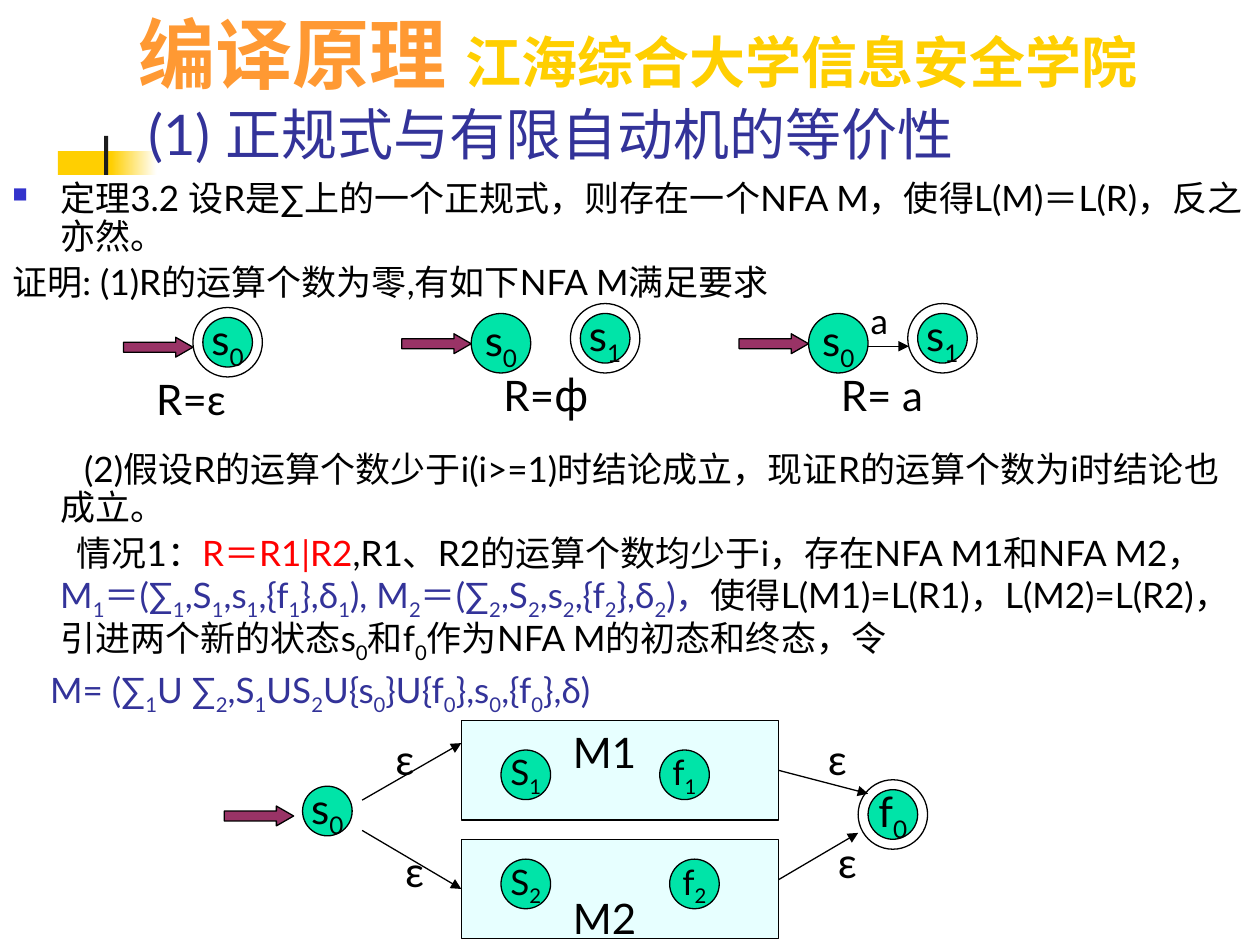
"""Build a slide on the equivalence of regular expressions and finite automata."""
import pptx
import pptx.dml.color
import pptx.enum.shapes
import pptx.enum.text
import pptx.oxml
import pptx.oxml.ns
import pptx.util

RGBColor = pptx.dml.color.RGBColor
BLACK = RGBColor(0x00, 0x00, 0x00)
WHITE = RGBColor(0xFF, 0xFF, 0xFF)
INK = RGBColor(0x1C, 0x1C, 0x1C)
GOLD = RGBColor(0xFF, 0xCF, 0x01)
ORANGE = RGBColor(0xFF, 0x99, 0x33)
NAVY = RGBColor(0x33, 0x33, 0x99)
BLUE = RGBColor(0x33, 0x33, 0xCC)
RED = RGBColor(0xFF, 0x00, 0x00)
GREEN = RGBColor(0x00, 0xE4, 0xA8)
PLUM = RGBColor(0x99, 0x33, 0x66)
CYAN = RGBColor(0xCC, 0xFF, 0xFF)

FONT = "Lato"
CJK_FONT = "Noto Sans CJK SC"
COLUMNS = 127
SLIDE_WIDTH = pptx.util.Inches(10)
SLIDE_HEIGHT = pptx.util.Inches(7.5)
SHAPE = pptx.enum.shapes.MSO_SHAPE
STATE = 5
RING_GAP = 1
BOX_W, BOX_H = 32, 10


def grid(*units):
    """Turn grid units into lengths, the slide being COLUMNS units wide."""
    return [round(u * SLIDE_WIDTH / COLUMNS) for u in units]


def add_xml(parent, tag, **attributes):
    """Append a DrawingML element to a parent and return it."""
    el = pptx.oxml.parse_xml(f"<a:{tag} {pptx.oxml.ns.nsdecls('a')}/>")
    for name, value in attributes.items():
        el.set(name, value)
    parent.append(el)
    return el


def add_run(p, text, size, color=BLACK, bold=False, font=FONT, sub=False):
    """Add one run of text, lowered when it is a subscript."""
    r = p.add_run()
    r.text = text
    r.font.size = pptx.util.Pt(size)
    r.font.name = font
    r.font.bold = bold
    r.font.color.rgb = color
    rPr = r._r.get_or_add_rPr()
    add_xml(rPr, "ea", typeface=font)
    if sub:
        rPr.set("baseline", "-25000")


def add_rich(p, text, size, color=BLACK):
    """Add text in which the character after each underscore is a subscript."""
    first, *rest = text.split("_")
    if first:
        add_run(p, first, size, color)
    for part in rest:
        add_run(p, part[0], size, color, sub=True)
        if part[1:]:
            add_run(p, part[1:], size, color)


def add_shape(shapes, kind, box, fill=None, line=BLACK):
    """Add a preset shape on the grid."""
    sp = shapes.add_shape(kind, *grid(*box))
    sp.shadow.inherit = False
    if fill is None:
        sp.fill.background()
    else:
        sp.fill.solid()
        sp.fill.fore_color.rgb = fill
    if line is None:
        sp.line.fill.background()
    else:
        sp.line.color.rgb = line
        sp.line.width = pptx.util.Pt(0.75)
    return sp


def add_text(shapes, box, before=0, wrap=True):
    """Add an empty text box and return its first paragraph."""
    tf = shapes.add_textbox(*grid(*box)).text_frame
    tf.word_wrap = wrap
    p = tf.paragraphs[0]
    p.space_before = pptx.util.Pt(before)
    return p


def add_state(shapes, x, y, label, size=24, d=STATE, final=False):
    """Add a state circle, with an outer ring when it is final."""
    sp = add_shape(shapes, SHAPE.OVAL, (x, y, d, d), GREEN)
    tf = sp.text_frame
    tf.word_wrap = False
    tf.vertical_anchor = pptx.enum.text.MSO_ANCHOR.MIDDLE
    p = tf.paragraphs[0]
    p.alignment = pptx.enum.text.PP_ALIGN.CENTER
    add_rich(p, label, size)
    if final:
        ring = d + 2 * RING_GAP
        add_shape(shapes, SHAPE.OVAL, (x - RING_GAP, y - RING_GAP, ring, ring))


def add_start(shapes, x, y):
    """Add the block arrow that marks a start state."""
    sp = add_shape(shapes, SHAPE.RIGHT_ARROW, (x, y, 7, 2), PLUM)
    sp.adjustments[0] = 0.5
    sp.adjustments[1] = 0.87


def add_edge(shapes, start, end):
    """Add a straight transition arrow."""
    straight = pptx.enum.shapes.MSO_CONNECTOR.STRAIGHT
    c = shapes.add_connector(straight, *grid(*start, *end))
    c.line.color.rgb = BLACK
    c.line.width = pptx.util.Pt(0.75)
    add_xml(c.line._get_or_add_ln(), "tailEnd", type="triangle")
    add_xml(c._element.spPr, "effectLst")
    return c


def add_header(shapes):
    """Add the course line, the accent bars and the slide title."""
    add_shape(shapes, SHAPE.RECTANGLE, (5.85, 15.25, 6.1, 6.6), GOLD, None)
    fade = add_shape(shapes, SHAPE.RECTANGLE, (11.2, 15.25, 4.6, 6.6), GOLD, None)
    fade.fill.gradient()
    fade.fill.gradient_angle = 0
    for stop, color in zip(fade.fill.gradient_stops, (GOLD, WHITE)):
        stop.color.rgb = color
    add_shape(shapes, SHAPE.RECTANGLE, (10.5, 13.7, 0.4, 14.6), INK, None)
    p = add_text(shapes, (12.7, 0, 114.3, 10.7))
    add_run(p, "编译原理 ", 44, ORANGE, bold=True)
    add_run(p, "江海综合大学信息安全学院", 32, GOLD, bold=True)
    p = add_text(shapes, (13.7, 7.6, 113.3, 9.8))
    p._parent.vertical_anchor = pptx.enum.text.MSO_ANCHOR.BOTTOM
    add_run(p, "(1) 正规式与有限自动机的等价性", 32, NAVY)


def add_body(shapes):
    """Add the theorem and its proof, leaving room for the basic automata."""
    paragraphs = [
        (-0.38, 5, [("定理3.2 设R是∑上的一个正规式，则存在一个NFA M，使得L(M)＝L(R)，反之亦然。", BLACK)]),
        (-0.38, 5, [("证明: (1)R的运算个数为零,有如下NFA M满足要求", BLACK)]),
        (0.19, 85, [("(2)假设R的运算个数少于i(i>=1)时结论成立，现证R的运算个数为i时结论也成立。", BLACK)]),
        (0.13, 5, [("情况1：", BLACK), ("R＝R1|R2", RED),
                   (",R1、R2的运算个数均少于i，存在NFA M1和NFA M2， ", BLACK),
                   ("M_1＝(∑_1,S_1,s_1,{f_1},δ_1), M_2＝(∑_2,S_2,s_2,{f_2},δ_2)，", NAVY),
                   ("使得L(M1)=L(R1)，L(M2)=L(R2)，引进两个新的状态s_0和f_0作为NFA M的初态和终态，令", BLACK)]),
        (-0.08, 5, [("M= (∑_1U ∑_2,S_1US_2U{s_0}U{f_0},s_0,{f_0},δ)", NAVY)]),
    ]
    sp = add_shape(shapes, SHAPE.RECTANGLE, (0, 17.65, COLUMNS, 55), WHITE, None)
    tf = sp.text_frame
    tf.word_wrap = True
    tf.vertical_anchor = pptx.enum.text.MSO_ANCHOR.TOP
    for i, (indent, before, parts) in enumerate(paragraphs):
        p = tf.add_paragraph() if i else tf.paragraphs[0]
        p.alignment = pptx.enum.text.PP_ALIGN.LEFT
        p.line_spacing = 0.9
        p.space_before = pptx.util.Pt(before)
        pPr = p._p.get_or_add_pPr()
        pPr.set("marL", str(pptx.util.Inches(0.38)))
        pPr.set("indent", str(pptx.util.Inches(indent)))
        if i == 0:
            add_xml(add_xml(pPr, "buClr"), "srgbClr", val=str(BLUE))
            add_xml(pPr, "buSzPct", val="60000")
            add_xml(pPr, "buChar", char="■")
        for text, color in parts:
            add_rich(p, text, 20, color)


def add_basic_automata(shapes):
    """Add the three automata for expressions without operators."""
    s = shapes.add_group_shape().shapes
    add_state(s, 20.45, 32, "s_0", final=True)
    add_start(s, 12.45, 34)
    add_run(add_text(s, (14.5, 37, 14, 6.3), 15), "R=ε", 24)
    for x, prefix, symbol, font in ((40.5, "R=", "ф", CJK_FONT), (74.5, "R= ", "a", FONT)):
        s = shapes.add_group_shape().shapes
        add_state(s, x + 7, 31.6, "s_0", d=6)
        add_start(s, x, 33.65)
        p = add_text(s, (x + 9, 36.6, 14, 6.3), 15)
        add_run(p, prefix, 24)
        add_run(p, symbol, 24, font=font)
        add_state(s, x + 18, 31.6, "s_1", final=True)
    add_edge(s, (87.5, 34.9), (91.6, 34.9))
    add_run(add_text(s, (86.5, 29.6, 5, 5.6), 12.5), "a", 20)


def add_union_automaton(shapes):
    """Add the automaton that joins M1 and M2 in parallel."""
    add_state(shapes, 30.5, 79.25, "s_0")
    add_start(shapes, 22.6, 81.25)
    boxes = []
    for n, y, state_y, f_x, label_y in ((1, 72.65, 75.6, 66.5, 72.65), (2, 84.6, 86.6, 67.5, 89.3)):
        box = add_shape(shapes, SHAPE.RECTANGLE, (46.5, y, BOX_W, BOX_H), CYAN)
        add_xml(box.fill._xPr.find(".//" + pptx.oxml.ns.qn("a:srgbClr")), "alpha", val="47000")
        boxes.append(box)
        add_state(shapes, 50.5, state_y, f"S_{n}", 20)
        add_state(shapes, f_x, state_y, f"f_{n}", 20)
        add_run(add_text(shapes, (56.5, label_y, 9, 6.3), 15), f"M{n}", 24)
    add_state(shapes, 87.5, 79.6, "f_0", final=True)
    add_edge(shapes, (36.5, 80.65), (46.5, 74.9))
    add_edge(shapes, (36.5, 83.7), (46.5, 89.6)).end_connect(boxes[1], 1)
    add_edge(shapes, (78.5, 77.65), (87.5, 80)).begin_connect(boxes[0], 3)
    add_edge(shapes, (78.5, 88.65), (86.5, 83.95))
    for x, y in ((38.6, 73.3), (39.6, 84.6), (82.2, 73.3), (83.2, 83.7)):
        add_run(add_text(shapes, (x, y, 4.6, 6.3), wrap=False), "ε", 24)


def main():
    """Build and save the slide."""
    prs = pptx.Presentation()
    prs.slide_width, prs.slide_height = SLIDE_WIDTH, SLIDE_HEIGHT
    shapes = prs.slides.add_slide(prs.slide_layouts[6]).shapes
    for add_part in (add_header, add_body, add_basic_automata, add_union_automaton):
        add_part(shapes)
    prs.save("out.pptx")


if __name__ == "__main__":
    main()
